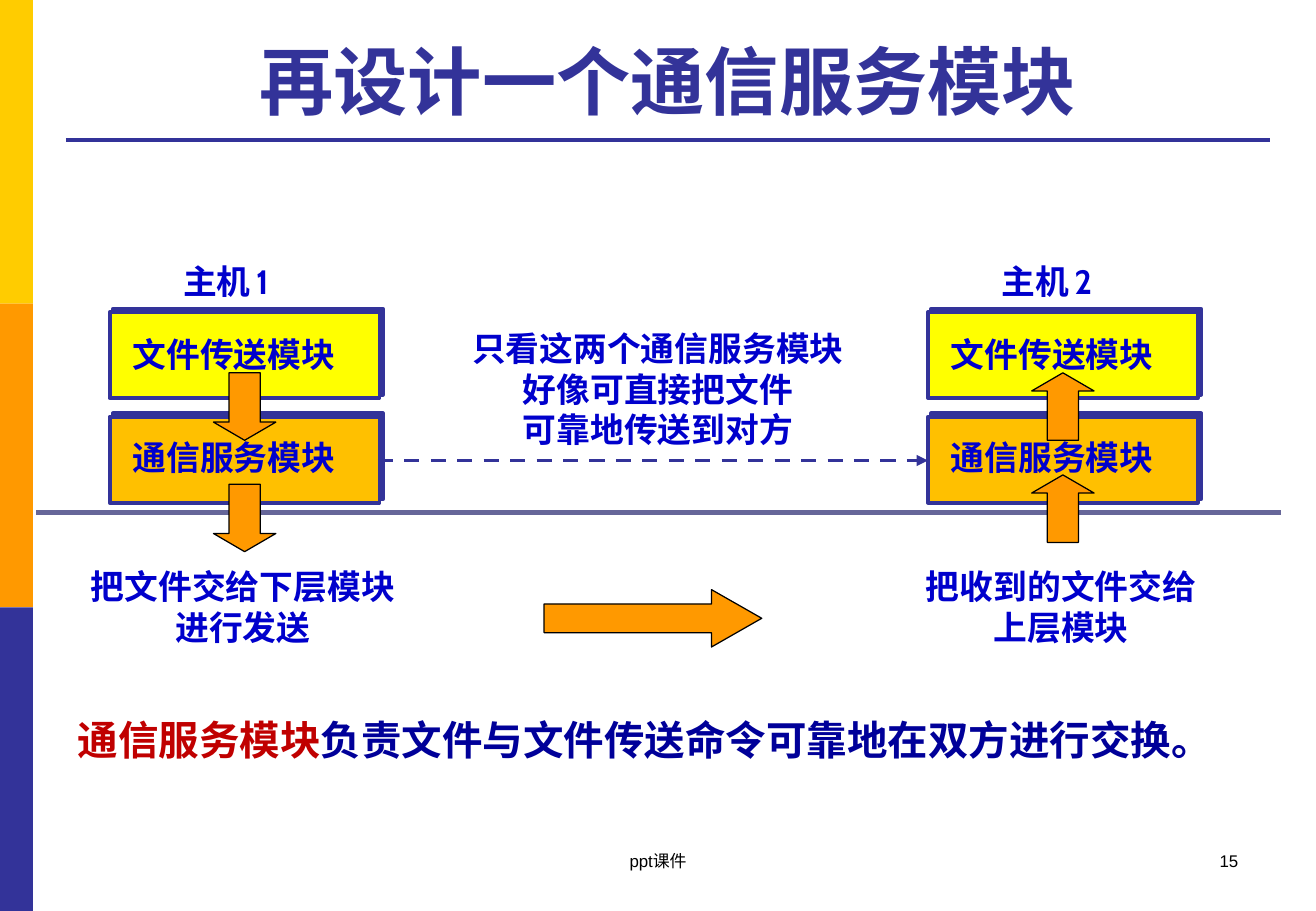
from lxml.etree import SubElement
from pptx import Presentation
from pptx.dml.color import RGBColor
from pptx.enum.dml import MSO_LINE_DASH_STYLE as DASH
from pptx.enum.shapes import MSO_CONNECTOR, MSO_SHAPE as SHAPE
from pptx.enum.text import MSO_ANCHOR, PP_ALIGN as ALIGN
from pptx.oxml.ns import qn
from pptx.util import Pt

COLORS = {
    "yellow": "FFCC00", "orange": "FF9900", "indigo": "333399",
    "transfer": "FFFF00", "service": "FFC000", "divider": "666699",
    "label": "0000CC", "key": "C00000", "summary": "000099", "black": "000000",
}


def rgb(name):
    return RGBColor.from_string(COLORS[name])


def format_run(r, font, size, color, bold):
    r.font.name, r.font.size, r.font.bold = font, Pt(size), bold
    r.font.color.rgb = rgb(color)


def add_text(s, box, lines, align=ALIGN.LEFT, font="Cabin", bold=True, wrap=False):
    tf = s.shapes.add_textbox(*map(Pt, box)).text_frame
    tf.word_wrap = wrap
    for i, line in enumerate(lines):
        p = tf.add_paragraph() if i else tf.paragraphs[0]
        p.alignment = align
        for text, size, color in line:
            r = p.add_run()
            r.text = text
            format_run(r, font, size, color, bold)


def label_lines(*texts):
    return [[(text, 20, "label")] for text in texts]


def add_block(s, kind, box, fill, line=None, width=0.75):
    sp = s.shapes.add_shape(kind, *map(Pt, box))
    sp.shadow.inherit = False
    sp.fill.solid()
    sp.fill.fore_color.rgb = rgb(fill)
    if line:
        sp.line.color.rgb = rgb(line)
        sp.line.width = Pt(width)
    else:
        sp.line.fill.background()
    return sp


def add_arrow(s, kind, box, head):
    sp = add_block(s, kind, box, "orange", "black")
    sp.adjustments[0], sp.adjustments[1] = 0.5, head


def add_rule(s, x1, x2, y, color, width, dashed_arrow=False):
    c = s.shapes.add_connector(MSO_CONNECTOR.STRAIGHT, Pt(x1), Pt(y), Pt(x2), Pt(y))
    c.line.color.rgb = rgb(color)
    c.line.width = Pt(width)
    if dashed_arrow:
        c.line.dash_style = DASH.DASH
        SubElement(c.element.spPr.find(qn("a:ln")), qn("a:tailEnd"), type="triangle")
    SubElement(c.element.spPr, qn("a:effectLst"))


def add_module(s, box, fill):
    sp = add_block(s, SHAPE.RECTANGLE, box, fill, "indigo", 2.25)
    effects = sp.element.spPr.find(qn("a:effectLst"))
    shadow = SubElement(effects, qn("a:outerShdw"), dist=str(Pt(2.8)),
                        dir=str(315 * 60000), algn="ctr", rotWithShape="0")
    SubElement(shadow, qn("a:srgbClr"), val=COLORS["indigo"])


def draw_sidebar(s, x, y, w, h):
    band = h / 3
    for i, color in enumerate(("yellow", "orange", "indigo")):
        add_block(s, SHAPE.RECTANGLE, (x, y + i * band, w, band), color)


def draw_title(s, x, y, w, h):
    sp = s.shapes.title
    sp.left, sp.top, sp.width, sp.height = map(Pt, (x, y, w, h))
    tf = sp.text_frame
    tf.text = "再设计一个通信服务模块"
    tf.vertical_anchor = MSO_ANCHOR.BOTTOM
    p = tf.paragraphs[0]
    p.alignment = ALIGN.CENTER
    format_run(p.runs[0], "Arial", 44, "indigo", True)
    add_rule(s, x, x + w, y + h + 5.3, "indigo", 2.25)


def draw_host(s, x, y, number, arrow, lower_arrow_y, caption):
    w, h, pitch = 160, 51, 62
    add_module(s, (x, y + pitch, w, h), "service")
    add_module(s, (x, y, w, h), "transfer")
    add_text(s, (x + 36.5, y - 34, 72, 31.5),
             [[("主机", 20, "label"), (" ", 14, "label"), (number, 20, "label")]])
    add_text(s, (x + 6.5, y + 9.5, 136, 31.5), label_lines("文件传送模块"))
    add_arrow(s, arrow, (x + 61.5, y + 36, 37, 40), 0.291)
    add_text(s, (x + 6.5, y + 70.5, 136, 31.5), label_lines("通信服务模块"))
    add_arrow(s, arrow, (x + 61.5, y + lower_arrow_y, 37, 40), 0.291)
    add_text(s, (x - 19, y + 147, 196, 55.5), label_lines(*caption), ALIGN.CENTER)


def draw_exchange(s, x, y, w):
    add_rule(s, x, x + w, y, "indigo", 2.25, dashed_arrow=True)
    add_text(s, (x + 47.5, y - 82, 237, 80),
             label_lines("只看这两个通信服务模块", "好像可直接把文件", "可靠地传送到对方"),
             ALIGN.CENTER)
    add_arrow(s, SHAPE.RIGHT_ARROW, (x + 98.5, y + 76.5, 129, 34), 0.876)


def draw_summary(s, x, y, w, h):
    add_text(s, (x, y, w, h),
             [[("通信服务模块", 24, "key"),
               ("负责文件与文件传送命令可靠地在双方进行交换。", 24, "summary")]], wrap=True)


def draw_footer(s, x, y, w, h):
    for left, width, text, align in ((x, 247, "ppt课件", ALIGN.CENTER),
                                     (x + w - 182, 182, "15", ALIGN.RIGHT)):
        add_text(s, (left, y, width, h), [[(text, 10, "black")]], align,
                 font="Arial", bold=False, wrap=True)


def main():
    prs = Presentation()
    prs.slide_width, prs.slide_height = Pt(780), Pt(540)
    s = prs.slides.add_slide(prs.slide_layouts[5])
    draw_sidebar(s, 0, 0, 19.5, 540)
    draw_title(s, 39, 15, 714, 62.5)
    add_rule(s, 21.5, 759, 304, "divider", 3)
    draw_host(s, 65, 185, "1", SHAPE.DOWN_ARROW, 102, ("把文件交给下层模块", "进行发送"))
    draw_host(s, 550, 185, "2", SHAPE.UP_ARROW, 96.5, ("把收到的文件交给", "上层模块"))
    draw_exchange(s, 224, 273, 326)
    draw_summary(s, 39, 420, 714, 36)
    draw_footer(s, 266.5, 500.5, 474.5, 36)
    prs.save("out.pptx")


if __name__ == "__main__":
    main()
